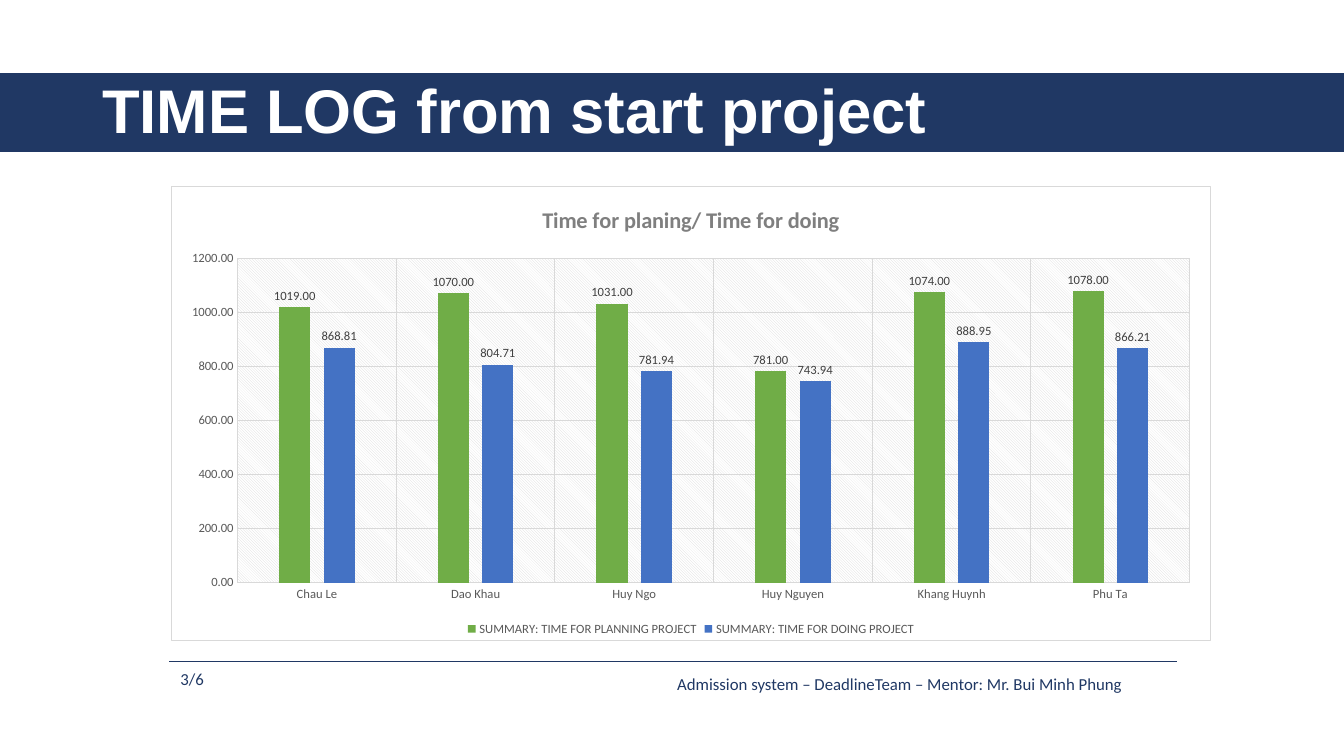
from lxml import etree
from pptx import Presentation
from pptx.chart.data import CategoryChartData
from pptx.dml.color import RGBColor
from pptx.enum.chart import XL_CHART_TYPE as CT, XL_LABEL_POSITION as LP
from pptx.enum.chart import XL_LEGEND_POSITION as LEG, XL_TICK_MARK as TICK
from pptx.enum.shapes import MSO_CONNECTOR as CONN, MSO_SHAPE as SHAPE
from pptx.enum.text import MSO_ANCHOR as ANCHOR
from pptx.oxml import parse_xml
from pptx.oxml.ns import nsdecls, qn
from pptx.util import Pt

COLORS = {"navy": "203864", "white": "FFFFFF", "green": "70AD47", "blue": "4472C4",
          "grid": "D9D9D9", "axis": "595959", "label": "404040", "title": "7F7F7F"}


def style(font, size, color, name="Calibri", bold=False):
    font.size, font.name, font.bold = Pt(size), name, bold
    font.color.rgb = RGBColor.from_string(COLORS[color])


def grid_line(line):
    line.color.rgb = RGBColor.from_string(COLORS["grid"])
    line.width = Pt(0.75)


prs = Presentation()
prs.slide_width, prs.slide_height = Pt(960), Pt(540)
s = prs.slides.add_slide(prs.slide_layouts[6])
navy = RGBColor.from_string(COLORS["navy"])

band = s.shapes.add_shape(SHAPE.RECTANGLE, Pt(0), Pt(52.5), Pt(960), Pt(55.5))
band.shadow.inherit = False
band.fill.solid()
band.fill.fore_color.rgb = navy
band.line.color.rgb = navy
band.line.width = Pt(1)

texts = [
    ("TIME LOG from start project", 66, 28.75, 828, 104.4, 44, "white", "Arial", True, True),
    ("Admission system – DeadlineTeam – Mentor: Mr. Bui Minh Phung",
     476.6, 477.4, 365.8, 21.8, 12, "navy", "Calibri", False, False),
    ("3/6", 121.7, 474, 36.7, 21.8, 12, "navy", "Calibri", False, True),
]
for text, x, y, w, h, size, color, font, bold, wrap in texts:
    tf = s.shapes.add_textbox(Pt(x), Pt(y), Pt(w), Pt(h)).text_frame
    tf.word_wrap = wrap
    tf.vertical_anchor = ANCHOR.MIDDLE if bold else ANCHOR.TOP
    tf.text = text
    p = tf.paragraphs[0]
    p.line_spacing = 0.9 if bold else 1.0
    style(p.runs[0].font, size, color, font, bold)

rule = s.shapes.add_connector(CONN.STRAIGHT, Pt(121), Pt(472.3), Pt(841), Pt(472.3))
rule.line.color.rgb = navy
rule.line.width = Pt(0.5)
etree.SubElement(rule._element.spPr, qn("a:effectLst"))

data = CategoryChartData(number_format="0.00")
data.categories = ["Chau Le", "Dao Khau", "Huy Ngo", "Huy Nguyen", "Khang Huynh", "Phu Ta"]
data.add_series("SUMMARY: TIME FOR PLANNING PROJECT", [1019, 1070, 1031, 781, 1074, 1078])
data.add_series("SUMMARY: TIME FOR DOING PROJECT",
                [868.81, 804.71, 781.94, 743.94, 888.95, 866.21])
chart = s.shapes.add_chart(CT.COLUMN_CLUSTERED, Pt(122), Pt(133), Pt(743), Pt(324.7),
                           data).chart
style(chart.font, 10, "axis")

chart.has_title = True
tf = chart.chart_title.text_frame
tf.text = "Time for planing/ Time for doing"
style(tf.paragraphs[0].runs[0].font, 16, "title", bold=True)
chart.chart_title.include_in_layout = False

chart.has_legend = True
chart.legend.position = LEG.BOTTOM
chart.legend.include_in_layout = False
style(chart.legend.font, 9, "axis")

for axis in (chart.category_axis, chart.value_axis):
    axis.has_major_gridlines = True
    grid_line(axis.major_gridlines.format.line)
    axis.major_tick_mark = axis.minor_tick_mark = TICK.NONE
    style(axis.tick_labels.font, 9, "axis")
grid_line(chart.category_axis.format.line)
value_axis = chart.value_axis
value_axis.format.line.fill.background()
value_axis.minimum_scale, value_axis.maximum_scale, value_axis.major_unit = 0, 1200, 200
value_axis.tick_labels.number_format = "0.00"
value_axis.tick_labels.number_format_is_linked = False

plot = chart.plots[0]
plot.gap_width, plot.overlap, plot.vary_by_categories = 267, -43, False
for series, color in zip(plot.series, ("green", "blue")):
    series.format.fill.solid()
    series.format.fill.fore_color.rgb = RGBColor.from_string(COLORS[color])
    labels = series.data_labels
    labels.show_value = True
    labels.position = LP.OUTSIDE_END
    labels.number_format = "0.00"
    labels.number_format_is_linked = False
    style(labels.font, 9, "label")

ns, grid, white = nsdecls("c", "a"), COLORS["grid"], COLORS["white"]
chart_node = chart._chartSpace.find(qn("c:chart"))
chart_node.find(qn("c:plotArea")).append(parse_xml(
    f'<c:spPr {ns}><a:pattFill prst="ltDnDiag"><a:fgClr><a:srgbClr val="{grid}"/></a:fgClr>'
    f'<a:bgClr><a:srgbClr val="{white}"/></a:bgClr></a:pattFill>'
    '<a:ln><a:noFill/></a:ln></c:spPr>'))
chart_node.addnext(parse_xml(
    f'<c:spPr {ns}><a:solidFill><a:srgbClr val="{white}"/></a:solidFill>'
    f'<a:ln w="{Pt(0.75)}"><a:solidFill><a:srgbClr val="{grid}"/></a:solidFill></a:ln></c:spPr>'))

prs.save("out.pptx")
